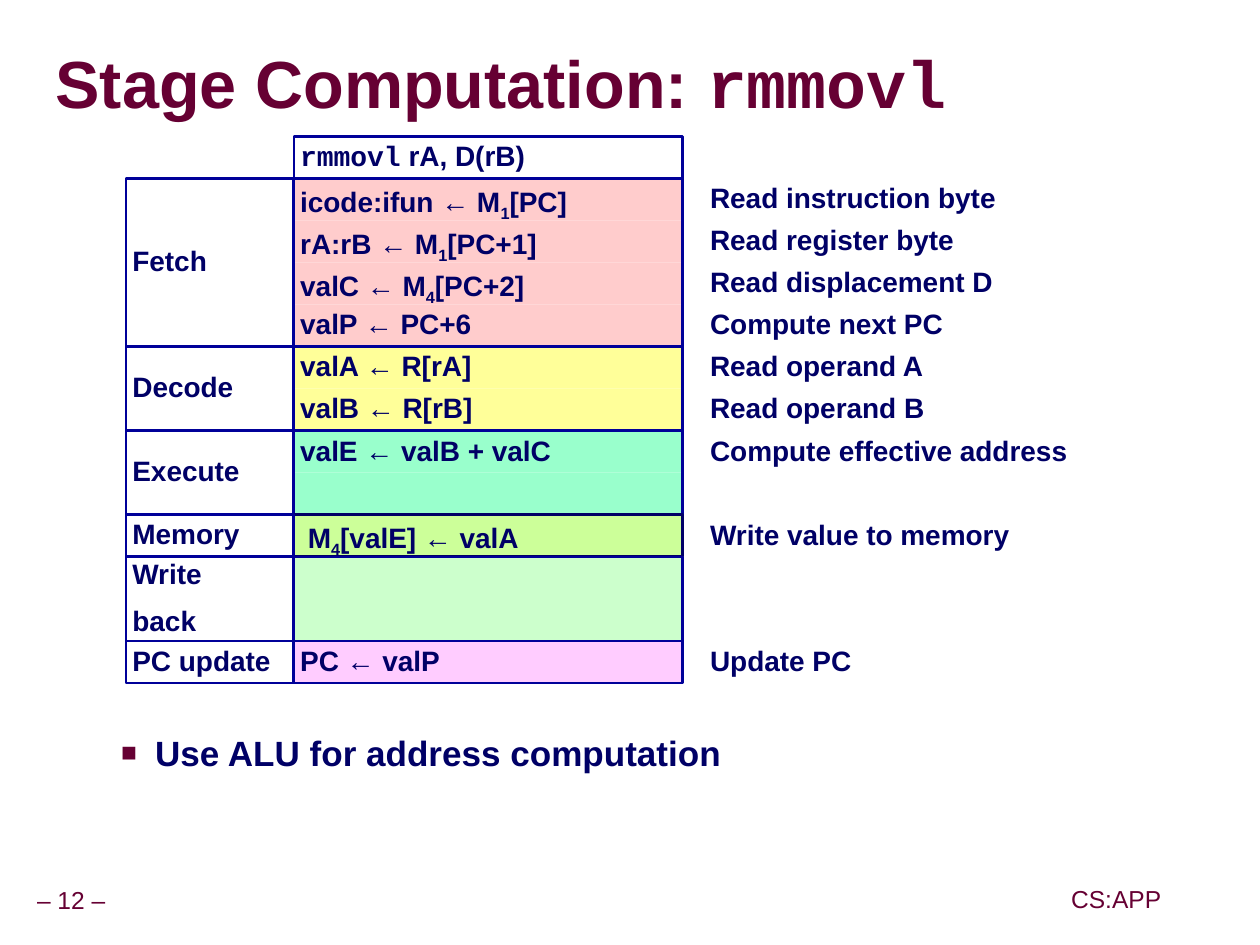
from dataclasses import dataclass

from pptx import Presentation
from pptx import util as u
from pptx.dml.color import RGBColor
from pptx.enum import shapes, text
from pptx.oxml import parse_xml
from pptx.oxml.ns import nsdecls


@dataclass(frozen=True)
class Theme:
    maroon: str = "660033"
    navy: str = "000066"
    border: str = "000099"
    shadow: str = "969696"
    sans: str = "Arial"
    mono: str = "Courier New"
    title_size: int = 38
    body_size: int = 20
    cell_size: int = 16
    footer_size: int = 14
    border_width: float = 1.5


THEME = Theme()

ROW = 1 / 3
GRID_TOP = 1.08
LABEL_LEFT, LABEL_WIDTH = 1, 1.33
STEP_LEFT, NOTE_LEFT, STEP_WIDTH = 2.33, 5.58, 3.08

# Stage label, fill, border, and one (step, note) pair per row; |1| is a subscript
STAGES = [
    ("Fetch", "FFCCCC", THEME.border, [
        ("icode:ifun ← M|1|[PC]", "Read instruction byte"),
        ("rA:rB ← M|1|[PC+1]", "Read register byte"),
        ("valC ← M|4|[PC+2]", "Read displacement D"),
        ("valP ← PC+6", "Compute next PC"),
    ]),
    ("Decode", "FFFF99", THEME.border, [
        ("valA ← R[rA]", "Read operand A"),
        ("valB ← R[rB]", "Read operand B"),
    ]),
    ("Execute", "99FFCC", THEME.border, [
        ("valE ← valB + valC", "Compute effective address"),
        ("", ""),
    ]),
    ("Memory", "CCFF99", THEME.navy, [
        (" M|4|[valE] ← valA", "Write value to memory"),
    ]),
    ("Write\nback", "CCFFCC", THEME.border, [("", ""), ("", "")]),
    ("PC update", "FFCCFF", THEME.border, [("PC ← valP", "Update PC")]),
]


def set_font(font, size, color, bold=True, name=THEME.sans):
    font.size, font.bold, font.name = u.Pt(size), bold, name
    font.color.rgb = RGBColor.from_string(color)


def set_frame(frame, inset, anchor, wrap=True):
    frame.margin_left = frame.margin_right = u.Inches(inset)
    frame.margin_top = frame.margin_bottom = u.Inches(inset)
    frame.vertical_anchor = anchor
    frame.word_wrap = wrap
    frame.auto_size = text.MSO_AUTO_SIZE.NONE


def write_paragraph(paragraph, content):
    """Write left-aligned cell text, lowering every second piece between bars."""
    paragraph.alignment = text.PP_ALIGN.LEFT
    paragraph.line_spacing = 0.9
    set_font(paragraph.font, THEME.cell_size, THEME.navy)
    for index, piece in enumerate(content.split("|")):
        run = paragraph.add_run()
        run.text = piece
        if index % 2:
            run._r.get_or_add_rPr().set("baseline", "-25000")


def write_cell(shape, content, anchor=text.MSO_ANCHOR.TOP):
    frame = shape.text_frame
    set_frame(frame, 0.05, anchor)
    for index, line in enumerate(content.split("\n")):
        paragraph = frame.add_paragraph() if index else frame.paragraphs[0]
        write_paragraph(paragraph, line)
        if index:
            paragraph.space_before = u.Pt(10)


def add_box(parent, left, top, width, height, fill=None, border=None):
    shape = parent.shapes.add_shape(
        shapes.MSO_SHAPE.RECTANGLE,
        u.Inches(left), u.Inches(top), u.Inches(width), u.Inches(height))
    shape.shadow.inherit = False
    if fill:
        shape.fill.solid()
        shape.fill.fore_color.rgb = RGBColor.from_string(fill)
    else:
        shape.fill.background()
    if border:
        shape.line.color.rgb = RGBColor.from_string(border)
        shape.line.width = u.Pt(THEME.border_width)
    else:
        shape.line.fill.background()
    return shape


def add_note(parent, top, content):
    note = parent.shapes.add_textbox(
        u.Inches(NOTE_LEFT), u.Inches(top), u.Inches(STEP_WIDTH), u.Inches(ROW))
    write_cell(note, content)


def add_stage(slide, top, label, fill, border, rows):
    group = slide.shapes.add_group_shape()
    height = ROW * len(rows)
    single = len(rows) == 1
    for index, (step, _) in enumerate(rows):
        cell = add_box(group, STEP_LEFT, top + index * ROW, STEP_WIDTH, ROW,
                       fill, border if single else None)
        if step:
            write_cell(cell, step)
    if not single:
        add_box(group, STEP_LEFT, top, STEP_WIDTH, height, border=border)
    label_box = add_box(group, LABEL_LEFT, top, LABEL_WIDTH, height,
                        border=THEME.border)
    write_cell(label_box, label, text.MSO_ANCHOR.MIDDLE)
    for index, (_, note) in enumerate(rows):
        if note:
            add_note(group, top + index * ROW, note)


def add_instruction(slide):
    box = add_box(slide, STEP_LEFT, GRID_TOP, STEP_WIDTH, ROW, border=THEME.border)
    write_cell(box, "rmmovl| rA, D(rB)".replace("|", ""))
    paragraph = box.text_frame.paragraphs[0]
    mnemonic = paragraph.runs[0]
    mnemonic.text = "rmmovl"
    mnemonic.font.name = THEME.mono
    paragraph.add_run().text = " rA, D(rB)"


def place(shape, left, top, width, height):
    shape.left, shape.top = u.Inches(left), u.Inches(top)
    shape.width, shape.height = u.Inches(width), u.Inches(height)


def add_text_shadow(run):
    run._r.get_or_add_rPr().append(parse_xml(
        f'<a:effectLst {nsdecls("a")}>'
        '<a:outerShdw dist="45720" dir="2700000" algn="tl">'
        f'<a:srgbClr val="{THEME.shadow}"/></a:outerShdw></a:effectLst>'))


def fill_title(title):
    place(title, 0.44, 0.27, 9.52, 0.85)
    set_frame(title.text_frame, 0, text.MSO_ANCHOR.MIDDLE)
    paragraph = title.text_frame.paragraphs[0]
    paragraph.alignment = text.PP_ALIGN.LEFT
    paragraph.line_spacing = 0.87
    set_font(paragraph.font, THEME.title_size, THEME.maroon)
    for content, name in (("Stage Computation: ", THEME.sans), ("rmmovl", THEME.mono)):
        run = paragraph.add_run()
        run.text = content
        add_text_shadow(run)
        run.font.name = name


def fill_body(body, content):
    place(body, 0.32, 5.75, 9.07, 1.28)
    frame = body.text_frame
    set_frame(frame, 0.05, text.MSO_ANCHOR.TOP)
    frame.margin_left = frame.margin_right = u.Inches(0.1)
    paragraph = frame.paragraphs[0]
    paragraph.text = content
    paragraph.level = 1
    paragraph.space_before = u.Pt(0)
    properties = paragraph._p.get_or_add_pPr()
    properties.set("marL", str(u.Inches(0.81)))
    properties.set("indent", str(u.Inches(-0.27)))
    for bullet in (f'<a:buClr {nsdecls("a")}><a:srgbClr val="{THEME.maroon}"/></a:buClr>',
                   f'<a:buSzPct {nsdecls("a")} val="75000"/>',
                   f'<a:buChar {nsdecls("a")} char="■"/>'):
        properties.append(parse_xml(bullet))
    set_font(paragraph.font, THEME.body_size, THEME.navy)


def add_footer(slide, left, top, width, content):
    box = slide.shapes.add_textbox(
        u.Inches(left), u.Inches(top), u.Inches(width), u.Inches(0.31))
    set_frame(box.text_frame, 0.05, text.MSO_ANCHOR.MIDDLE, wrap=False)
    paragraph = box.text_frame.paragraphs[0]
    paragraph.text = content
    paragraph.alignment = text.PP_ALIGN.CENTER
    paragraph.line_spacing = 0.9
    set_font(paragraph.font, THEME.footer_size, THEME.maroon, bold=False)


def main():
    presentation = Presentation()
    presentation.slide_width = u.Inches(9.99)
    presentation.slide_height = u.Inches(7.49)
    slide = presentation.slides.add_slide(presentation.slide_layouts[1])
    add_footer(slide, -0.09, 6.99, 1.31, "– 12 –")
    add_footer(slide, 8.44, 6.98, 0.82, "CS:APP")
    fill_title(slide.shapes.title)
    fill_body(slide.placeholders[1], "Use ALU for address computation")
    add_instruction(slide)
    top = GRID_TOP + ROW
    for label, fill, border, rows in STAGES:
        add_stage(slide, top, label, fill, border, rows)
        top += ROW * len(rows)
    presentation.save("out.pptx")


if __name__ == "__main__":
    main()
